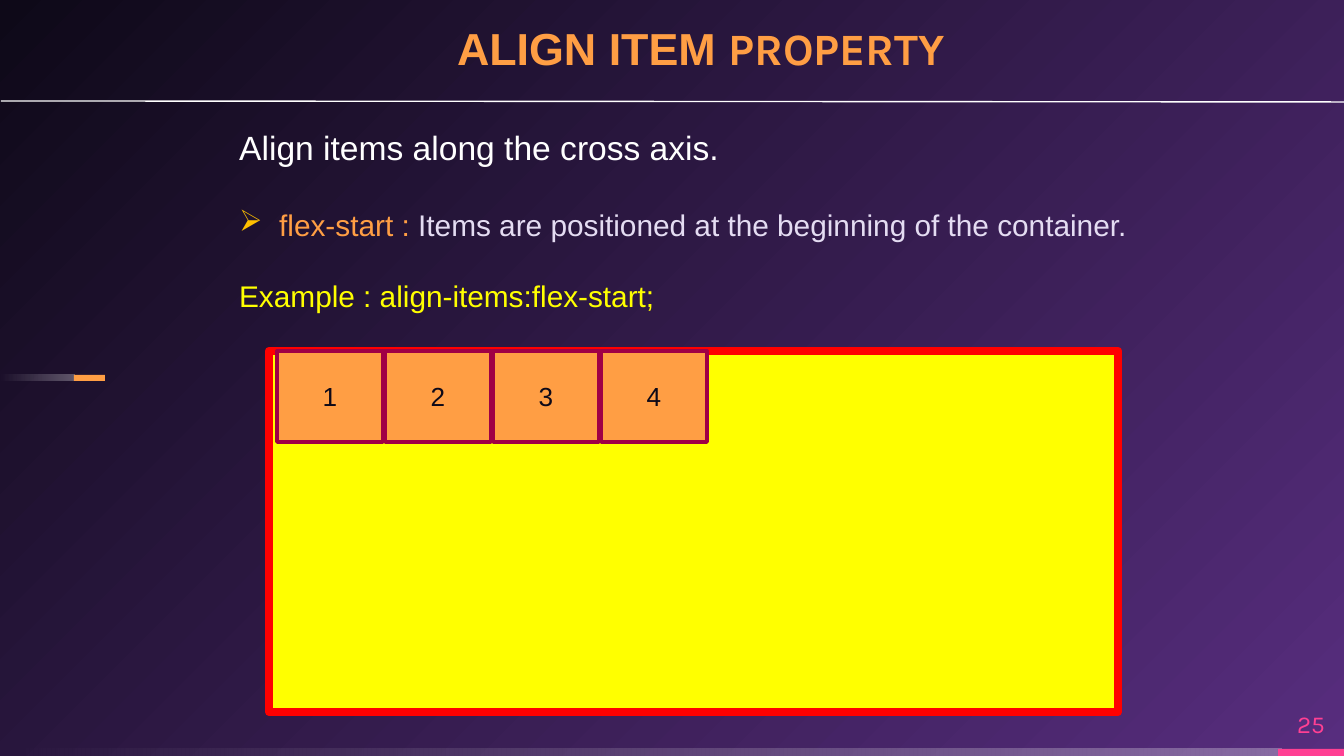
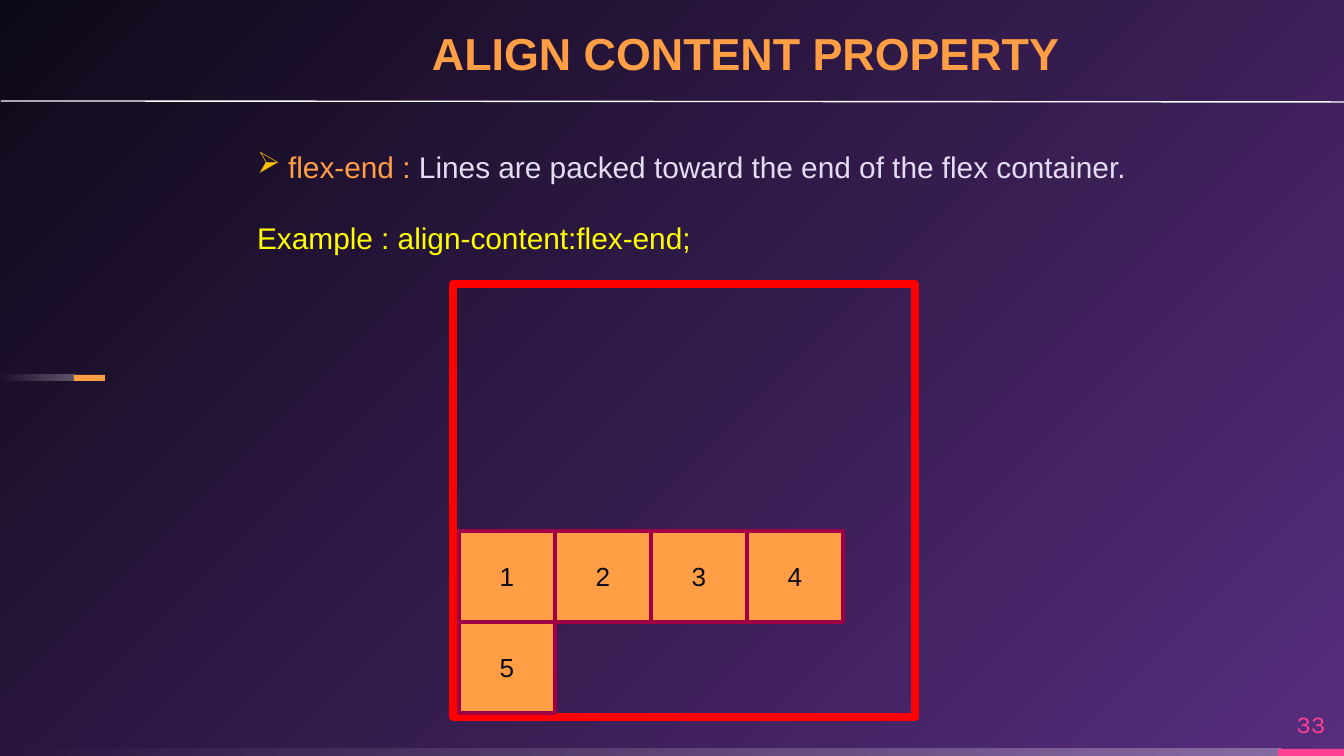
from lxml.etree import SubElement
from pptx import Presentation
from pptx.dml.color import RGBColor
from pptx.enum.shapes import MSO_CONNECTOR, MSO_SHAPE
from pptx.enum.text import MSO_ANCHOR as ANCHOR, MSO_AUTO_SIZE as AUTO, PP_ALIGN as ALIGN
from pptx.oxml.ns import qn
from pptx.util import Emu, Pt

WIDTH, HEIGHT = 1344, 756
SCALE = 9144000 / WIDTH

PURPLE = RGBColor(0x57, 0x2D, 0x7E)
NIGHT = RGBColor(0x0E, 0x09, 0x18)
WHITE = RGBColor(0xFF, 0xFF, 0xFF)
PINK = RGBColor(0xFF, 0x40, 0x93)
ORANGE = RGBColor(0xFF, 0x9E, 0x44)
LILAC = RGBColor(0xE4, 0xDC, 0xF2)
YELLOW = RGBColor(0xFF, 0xFF, 0x00)
GOLD = RGBColor(0xFF, 0xC0, 0x00)
RED = RGBColor(0xFF, 0x00, 0x00)
WINE = RGBColor(0xA0, 0x00, 0x45)
BODY_FONT, ACCENT_FONT = "Arial", "Karla"


def px(*lengths):
    return [Emu(round(n * SCALE)) for n in lengths]


def style(r, size, color, font=BODY_FONT, bold=False):
    r.font.size, r.font.name, r.font.bold = Pt(size), font, bold
    r.font.color.rgb = color


def add_runs(p, size, runs, bold=False):
    """Fill a paragraph from (text, colour, font) tuples."""
    for text, color, font in runs:
        r = p.add_run()
        r.text = text
        style(r, size, color, font, bold)


def clear_margins(tf):
    tf.margin_left = tf.margin_right = tf.margin_top = tf.margin_bottom = 0


def set_gradient(fill, first, last):
    fill.gradient()
    for stop, color in zip(fill.gradient_stops, (first, last)):
        stop.color.rgb = color


def set_background(s):
    """Radial gradient spreading from the bottom right corner."""
    set_gradient(s.background.fill, PURPLE, NIGHT)
    grad = s.element.find(".//" + qn("a:gradFill"))
    grad.remove(grad.find(qn("a:lin")))
    circle = SubElement(grad, qn("a:path"), path="circle")
    SubElement(circle, qn("a:fillToRect"), l="100000", t="100000")


def add_box(s, box, fill=None, line=None, weight=0, kind=MSO_SHAPE.FLOWCHART_PROCESS):
    sp = s.shapes.add_shape(kind, *px(*box))
    sp.shadow.inherit = False
    if fill is None:
        sp.fill.background()
    else:
        sp.fill.solid()
        sp.fill.fore_color.rgb = fill
    if line is None:
        sp.line.fill.background()
    else:
        sp.line.color.rgb = line
        sp.line.width = Pt(weight)
    return sp


def add_fading_bar(s, box):
    """White bar that fades out towards the left."""
    sp = add_box(s, box, kind=MSO_SHAPE.RECTANGLE)
    set_gradient(sp.fill, WHITE, WHITE)
    sp.fill.gradient_angle = 180
    for color, alpha in zip(sp.element.iter(qn("a:srgbClr")), ("30000", "0")):
        SubElement(color, qn("a:alpha"), val=alpha)


def add_text_box(s, box):
    tf = s.shapes.add_textbox(*px(*box)).text_frame
    tf.word_wrap = True
    return tf


def add_title(s, box, runs):
    title = s.shapes.title
    title.left, title.top, title.width, title.height = px(*box)
    tf = title.text_frame
    clear_margins(tf)
    tf.auto_size, tf.word_wrap = AUTO.NONE, True
    tf.vertical_anchor = ANCHOR.BOTTOM
    p = tf.paragraphs[0]
    p.alignment = ALIGN.LEFT
    add_runs(p, 24, runs, bold=True)
    return p


def add_rule(s):
    line = s.shapes.add_connector(MSO_CONNECTOR.STRAIGHT, *px(1, 101, 1363, 102))
    line.line.color.rgb = WHITE
    line.line.width = Pt(0.75)
    SubElement(line.element.spPr, qn("a:effectLst"))


def add_number(s, number):
    tf = add_text_box(s, (1278, 698, 66, 51))
    clear_margins(tf)
    tf.vertical_anchor = ANCHOR.MIDDLE
    p = tf.paragraphs[0]
    p.alignment = ALIGN.CENTER
    p.text = str(number)
    style(p.runs[0], 13, PINK, ACCENT_FONT)


def add_bullet(p, hang):
    pPr = p._p.get_or_add_pPr()
    indent = px(hang)[0]
    pPr.set("marL", str(indent))
    pPr.set("indent", str(-indent))
    color = SubElement(pPr, qn("a:buClr"))
    SubElement(color, qn("a:srgbClr"), val=str(GOLD))
    SubElement(pPr, qn("a:buChar"), char="➢")


def add_definition(s, box, hang, value, meaning, example):
    """Bulleted property value with its meaning, then a code example."""
    tf = add_text_box(s, box)
    p = tf.paragraphs[0]
    add_bullet(p, hang)
    add_runs(p, 16, [(value + " : ", ORANGE, BODY_FONT), (meaning, LILAC, BODY_FONT)])
    p = tf.add_paragraph()
    p.space_before = Pt(19)
    p.text = "Example : " + example
    style(p.runs[0], 16, YELLOW)


def add_flex_items(s, count, left, top, width, height, step):
    """Numbered items, four to a row."""
    for i in range(count):
        row, col = divmod(i, 4)
        sp = add_box(s, (left + col * step, top + row * height, width, height),
                     ORANGE, WINE, 2)
        tf = sp.text_frame
        tf.vertical_anchor = ANCHOR.MIDDLE
        p = tf.paragraphs[0]
        p.alignment = ALIGN.CENTER
        p.text = str(i + 1)
        style(p.runs[0], 14, NIGHT)


def add_slide(prs, number):
    s = prs.slides.add_slide(prs.slide_layouts[5])
    set_background(s)
    add_fading_bar(s, (0, 749, 1282, 7))
    add_box(s, (1278, 749, 66, 7), PINK, kind=MSO_SHAPE.RECTANGLE)
    add_fading_bar(s, (0, 375, 75, 6))
    add_box(s, (74, 375, 31, 6), ORANGE, kind=MSO_SHAPE.RECTANGLE)
    add_number(s, number)
    add_rule(s)
    return s


def add_align_items(prs):
    s = add_slide(prs, 25)
    p = add_title(s, (457, 17, 573, 58),
                  [("ALIGN ITEM ", ORANGE, BODY_FONT), ("PROPERTY", ORANGE, ACCENT_FONT)])
    p.line_spacing = 0.9
    p = add_text_box(s, (226, 120, 595, 54)).paragraphs[0]
    p.text = "Align items along the cross axis."
    style(p.runs[0], 18, WHITE)
    add_definition(s, (226, 200, 941, 159), 40, "flex-start",
                   "Items are positioned at the beginning of the container.",
                   "align-items:flex-start;")
    add_box(s, (269, 351, 849, 361), YELLOW, RED, 4.5)
    add_flex_items(s, 4, left=277, top=351, width=106, height=91, step=108)


def add_align_content(prs):
    s = add_slide(prs, 33)
    add_title(s, (432, 21, 765, 58), [("ALIGN CONTENT PROPERTY", ORANGE, BODY_FONT)])
    add_definition(s, (244, 142, 952, 122), 31, "flex-end",
                   "Lines are packed toward the end of the flex container.",
                   "align-content:flex-end;")
    add_box(s, (453, 284, 462, 433), line=RED, weight=4.5)
    add_flex_items(s, 5, left=459, top=531, width=96, height=91, step=96)


def main():
    prs = Presentation()
    prs.slide_width, prs.slide_height = px(WIDTH, HEIGHT)
    add_align_items(prs)
    add_align_content(prs)
    prs.save("out.pptx")


if __name__ == "__main__":
    main()
